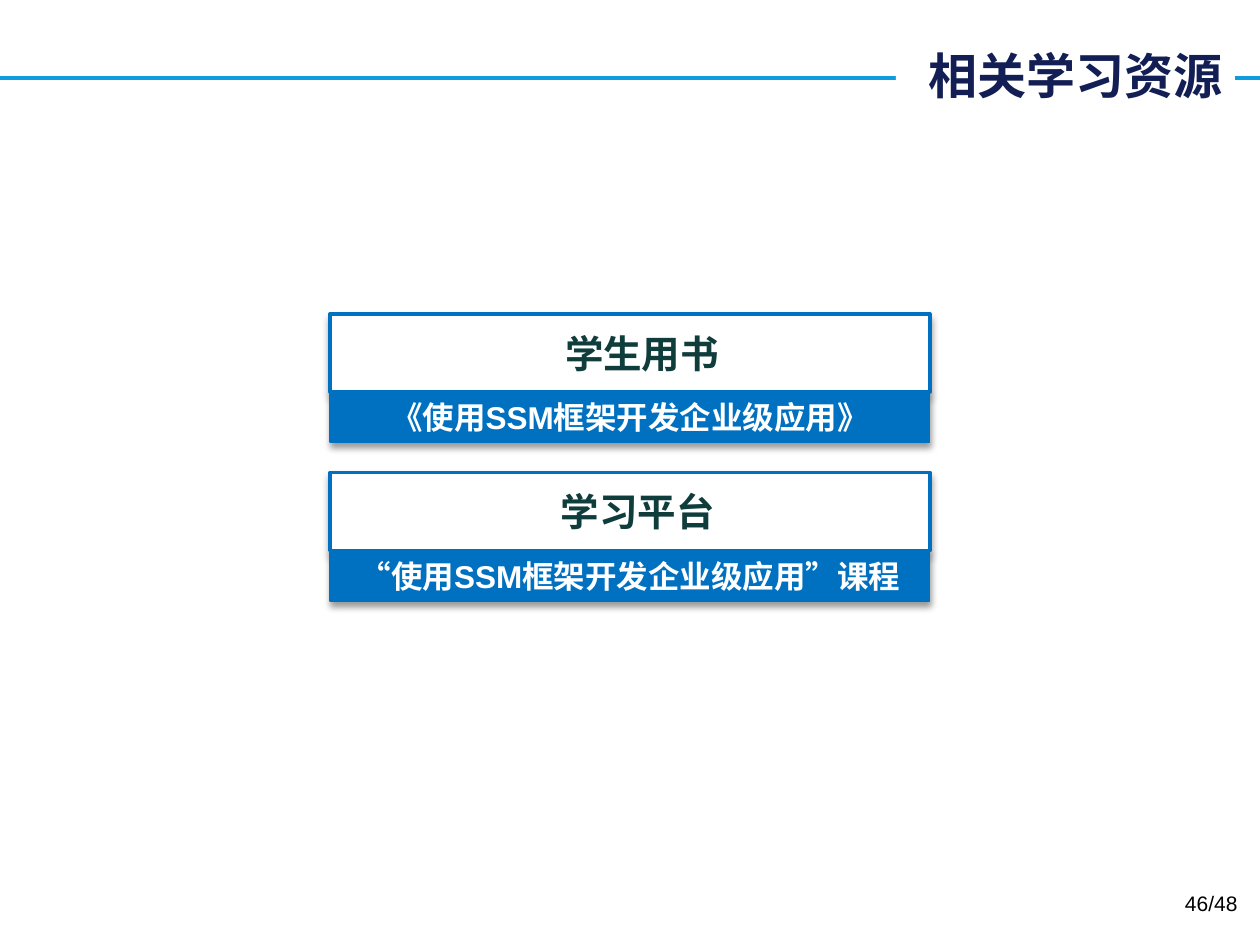
from lxml import etree
from pptx import Presentation
from pptx import util as u
from pptx.dml.color import RGBColor
from pptx.enum import lang, shapes, text
from pptx.oxml import ns, parse_xml

WIDTH, HEIGHT = 10, 7.5
CARD_LEFT, CARD_WIDTH = 2.62, 4.76
CARD_TOP, CARD_STEP = 2.49, 1.26
HEAD_HEIGHT, BAND_HEIGHT = 0.62, 0.4
BLUE, WHITE = "0070C0", "FFFFFF"
CJK_FONT = "Noto Sans CJK SC"
CARDS = [
    ("学生用书", "《使用SSM框架开发企业级应用》", 0.29),
    ("学习平台", "“使用SSM框架开发企业级应用”课程", 0.22),
]


def color(value):
    """Turn a hex string into a colour."""
    return RGBColor.from_string(value)


def write(shape, words, size, ink, font=CJK_FONT, bold=True, align="CENTER"):
    """Put one formatted line of text in a shape."""
    frame = shape.text_frame
    frame.text = words
    frame.word_wrap = True
    para = frame.paragraphs[0]
    para.alignment = getattr(text.PP_ALIGN, align)
    for span in para.runs:
        span.font.name, span.font.size, span.font.bold = font, u.Pt(size), bold
        span.font.color.rgb = color(ink)
        span.font.language_id = lang.MSO_LANGUAGE_ID.SIMPLIFIED_CHINESE
        latin = span.font._element.find(ns.qn("a:latin"))
        east = etree.Element(ns.qn("a:ea"), typeface=CJK_FONT)
        latin.addnext(east)
    return frame


def add_shadow(shape):
    """Give a shape a soft shadow below it."""
    shape.shadow.inherit = False
    effects = shape.element.spPr.find(ns.qn("a:effectLst"))
    effects.append(parse_xml(
        f'<a:outerShdw {ns.nsdecls("a")} blurRad="{u.Pt(4)}" dist="{u.Pt(3)}" '
        'dir="5400000" algn="ctr" rotWithShape="0"><a:srgbClr val="000000">'
        '<a:alpha val="40000"/></a:srgbClr></a:outerShdw>'))


def add_panel(page, top, height, fill, weight):
    """Add one shadowed rectangle in the card column."""
    panel = page.shapes.add_shape(
        shapes.MSO_SHAPE.RECTANGLE, u.Inches(CARD_LEFT), u.Inches(top),
        u.Inches(CARD_WIDTH), u.Inches(height))
    panel.fill.solid()
    panel.fill.fore_color.rgb = color(fill)
    panel.line.color.rgb = color(BLUE)
    panel.line.width = u.Pt(weight)
    add_shadow(panel)
    panel.text_frame.vertical_anchor = text.MSO_ANCHOR.MIDDLE
    return panel


def add_card(page, row, heading, detail, inset):
    """Add a white heading panel with a blue band under it."""
    top = CARD_TOP + row * CARD_STEP
    head = add_panel(page, top, HEAD_HEIGHT, WHITE, 2)
    write(head, heading, 22, "0F3D3B").margin_left = u.Inches(inset)
    band = add_panel(page, top + HEAD_HEIGHT, BAND_HEIGHT, BLUE, 0.75)
    write(band, detail, 18, WHITE, "Arial")


def add_rule(page, y):
    """Draw the line across the slide."""
    rule = page.shapes.add_connector(
        shapes.MSO_CONNECTOR.STRAIGHT, 0, u.Inches(y),
        u.Inches(WIDTH), u.Inches(y))
    rule.line.color.rgb = color("0E9CDE")
    rule.line.width = u.Pt(2.25)
    etree.SubElement(rule._element.spPr, ns.qn("a:effectLst"))


def set_title(page, words):
    """Place the title over the line."""
    title = page.shapes.title
    title.left, title.top = u.Inches(7.11), u.Inches(0.31)
    title.width, title.height = u.Inches(2.69), u.Inches(0.57)
    title.fill.solid()
    title.fill.fore_color.rgb = color(WHITE)
    frame = write(title, words, 28, "121E54", align="RIGHT")
    frame.vertical_anchor = text.MSO_ANCHOR.MIDDLE
    frame.auto_size = text.MSO_AUTO_SIZE.NONE
    title.element.getparent().append(title.element)


def add_page_number(page, words):
    """Write the page count at the bottom right."""
    box = page.shapes.add_textbox(
        u.Inches(7.59), u.Inches(7.02), u.Inches(2.33), u.Inches(0.4))
    write(box, words, 12, "000000", "Arial", False, "RIGHT")


def main():
    """Build and save the slide."""
    deck = Presentation()
    deck.slide_width, deck.slide_height = u.Inches(WIDTH), u.Inches(HEIGHT)
    page = deck.slides.add_slide(deck.slide_layouts[5])
    add_rule(page, 0.62)
    set_title(page, "相关学习资源")
    for row, card in enumerate(CARDS):
        add_card(page, row, *card)
    add_page_number(page, "46/48")
    deck.save("out.pptx")


if __name__ == "__main__":
    main()
